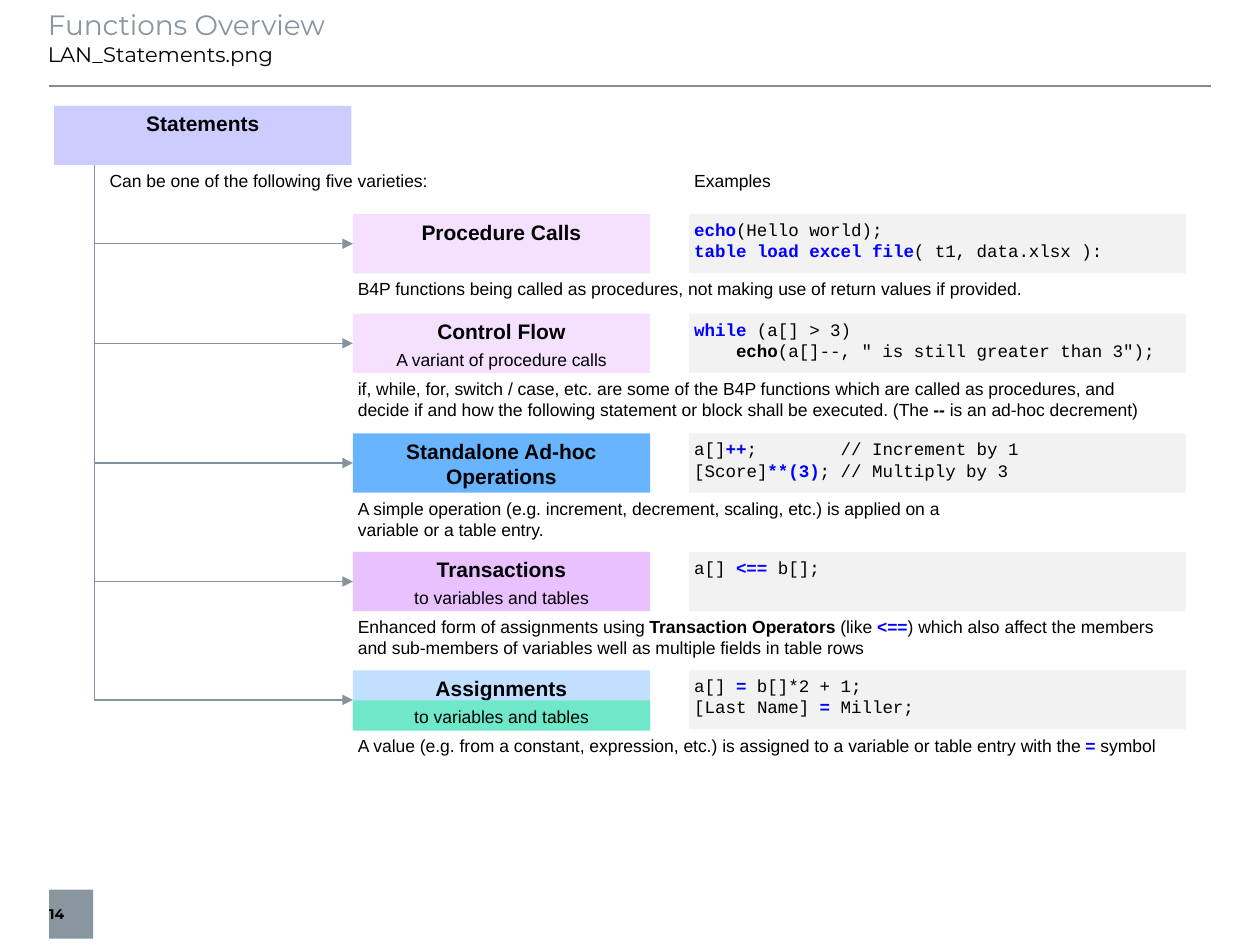
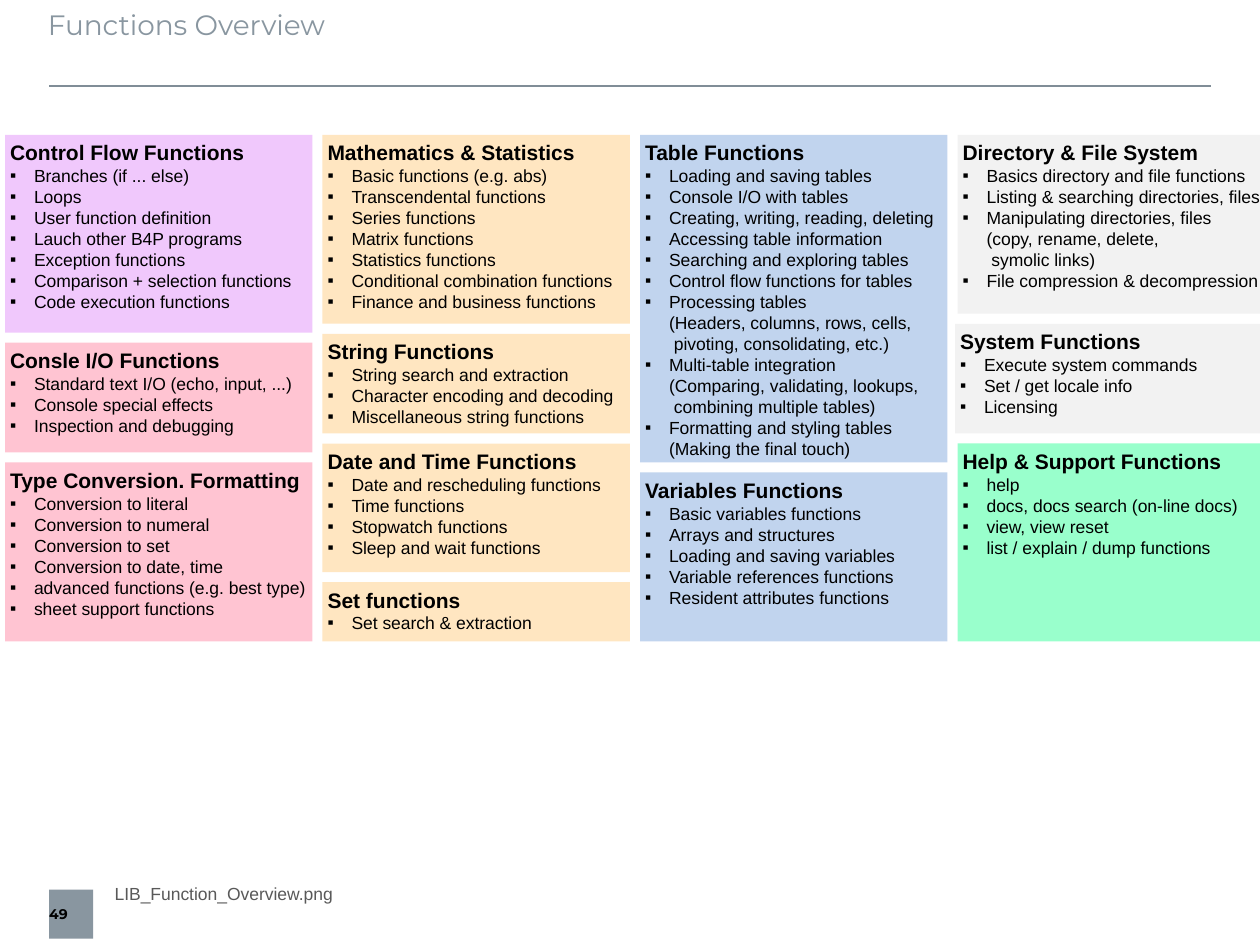
from copy import deepcopy

from lxml import etree
from pptx import Presentation
from pptx.dml.color import RGBColor
from pptx.enum.shapes import MSO_CONNECTOR, MSO_SHAPE
from pptx.enum.text import MSO_ANCHOR, MSO_AUTO_SIZE, PP_ALIGN
from pptx.oxml.ns import qn
from pptx.util import Inches, Pt

STRAIGHT = MSO_CONNECTOR.STRAIGHT
RECTANGLE = MSO_SHAPE.RECTANGLE
TOP, MIDDLE = MSO_ANCHOR.TOP, MSO_ANCHOR.MIDDLE
LEFT, CENTER = PP_ALIGN.LEFT, PP_ALIGN.CENTER
NO_AUTOFIT = MSO_AUTO_SIZE.NONE
LEFT_SIDE = 1

COLORS = {
    "text": "000000", "title": "8996A0", "caption": "595959", "keyword": "0000FF",
    "rule": "808D97", "arrow": "85939D", "root": "CCCCFF", "code": "F2F2F2",
    "procedure": "F5E1FF", "ad_hoc": "69B4FF", "transaction": "EAC1FF",
    "variable": "C1E0FF", "table": "6EE8C8",
    "control": "F0C8FC", "console": "FFC4D2", "data": "FFE6C1",
    "tables": "C1D4EE", "system": "F2F2F2", "help": "99FFCC",
}
SANS, MONO, DISPLAY = "Arial", "Courier New", "Montserrat"
HEADING, BODY = 12, 10
INSET = (0.04, 0.04, 0.04, 0.04)

# Statement rows: top, name, fill, subtitle, subtitle fill, code lines, description lines.
# A line is a list of spans; a span is a string or (string, style).
KEYWORD, BOLD = "keyword", "bold"
STATEMENTS = [
    (1.70, "Procedure Calls", "procedure", None, None,
     [[("echo", KEYWORD), "(Hello world);"],
      [("table load excel file", KEYWORD), "( t1, data.xlsx ):"]],
     [["B4P functions being called as procedures, not making use of return values if provided."]]),
    (2.49, "Control Flow", "procedure", "A variant of procedure calls", None,
     [[("while", KEYWORD), " (a[] > 3)"],
      ["    ", ("echo", BOLD), '(a[]--, " is still greater than 3");']],
     [["if, while, for, switch / case, etc. are some of the B4P functions "
       "which are called as procedures, and"],
      ["decide if and how the following statement or block shall be executed. (The ",
       ("--", BOLD), " is an ad-hoc decrement)"]]),
    (3.44, "Standalone Ad-hoc\nOperations", "ad_hoc", None, None,
     [["a[]", ("++", KEYWORD), ";        // Increment by 1"],
      ["[Score]", ("**(3)", KEYWORD), "; // Multiply by 3"]],
     [["A simple operation (e.g. increment, decrement, scaling, etc.) is applied on a\n"
       "variable or a table entry."]]),
    (4.38, "Transactions", "transaction", "to variables and tables", None,
     [["a[] ", ("<==", KEYWORD), " b[];"]],
     [["Enhanced form of assignments using ", ("Transaction Operators", BOLD), " (like ",
       ("<==", KEYWORD), ") which also affect the members"],
      ["and sub-members of variables well as multiple fields in table rows"]]),
    (5.32, "Assignments", "variable", "to variables and tables", "table",
     [["a[] ", ("=", KEYWORD), " b[]*2 + 1;"],
      ["[Last Name] ", ("=", KEYWORD), " Miller;"]],
     [["A value (e.g. from a constant, expression, etc.) is assigned to a variable "
       "or table entry with the ", ("=", KEYWORD), " symbol"]]),
]

# Columns of cards: name, fill, height, entries.
LIBRARY = [
    [("Control Flow Functions", "control", 1.57,
      ["Branches (if ... else)", "Loops", "User function definition",
       "Lauch other B4P programs", "Exception functions",
       "Comparison + selection functions", "Code execution functions"]),
     ("Consle I/O Functions", "console", 0.87,
      ["Standard text I/O (echo, input, ...)", "Console special effects",
       "Inspection and debugging"]),
     ("Type Conversion. Formatting", "console", 1.42,
      ["Conversion to literal", "Conversion to numeral", "Conversion to set",
       "Conversion to date, time", "advanced functions (e.g. best type)",
       "sheet support functions"])],
    [("Mathematics & Statistics", "data", 1.5,
      ["Basic functions (e.g. abs)", "Transcendental functions", "Series functions",
       "Matrix functions", "Statistics functions", "Conditional combination functions",
       "Finance and business functions"]),
     ("String Functions", "data", 0.79,
      ["String search and extraction", "Character encoding and decoding",
       "Miscellaneous string functions"]),
     ("Date and Time Functions", "data", 1.02,
      ["Date and rescheduling functions", "Time functions", "Stopwatch functions",
       "Sleep and wait functions"]),
     ("Set functions", "data", 0.47, ["Set search & extraction"])],
    [("Table Functions", "tables", 2.6,
      ["Loading and saving tables", "Console I/O with tables",
       "Creating, writing, reading, deleting", "Accessing table information",
       "Searching and exploring tables", "Control flow functions for tables",
       "Processing tables\n(Headers, columns, rows, cells,\n pivoting, consolidating, etc.)",
       "Multi-table integration\n(Comparing, validating, lookups,\n combining multiple tables)",
       "Formatting and styling tables\n(Making the final touch)"]),
     ("Variables Functions", "tables", 1.34,
      ["Basic variables functions", "Arrays and structures", "Loading and saving variables",
       "Variable references functions", "Resident attributes functions"])],
    [("Directory & File System", "system", 1.42,
      ["Basics directory and file functions", "Listing & searching directories, files",
       "Manipulating directories, files\n(copy, rename, delete,\n symolic links)",
       "File compression & decompression"]),
     ("System Functions", "system", 0.87,
      ["Execute system commands", "Set / get locale info", "Licensing"]),
     ("Help & Support Functions", "help", 1.57,
      ["help", "docs, docs search (on-line docs)", "view, view reset",
       "list / explain / dump functions"])],
]
CARD_SHIFT = {"System Functions": -0.02}


def color(name):
    return RGBColor.from_string(COLORS[name])


def add_span(para, text, size=BODY, font=SANS, fill="text", bold=False):
    """Add text as runs, with a line break of the same size at each newline."""
    for index, piece in enumerate(text.split("\n")):
        if index:
            para.add_line_break()
            para._p[-1].append(deepcopy(span._r.rPr))
        span = para.add_run()
        span.text = piece
        span.font.size, span.font.name, span.font.bold = Pt(size), font, bold
        span.font.color.rgb = color(fill)


def set_frame(box, anchor=TOP, inset=INSET, wrap=False):
    frame = box.text_frame
    frame.auto_size = NO_AUTOFIT
    frame.word_wrap, frame.vertical_anchor = wrap, anchor
    (frame.margin_left, frame.margin_top,
     frame.margin_right, frame.margin_bottom) = map(Inches, inset)
    return frame


def next_para(frame, index, align=LEFT):
    para = frame.add_paragraph() if index else frame.paragraphs[0]
    para.alignment = align
    return para


def add_box(page, left, top, width, height, fill=None):
    """Add a filled rectangle, or a text box when there is no fill."""
    place = [Inches(value) for value in (left, top, width, height)]
    if fill is None:
        box = page.shapes.add_textbox(*place)
    else:
        box = page.shapes.add_shape(RECTANGLE, *place)
        box.shadow.inherit = False
        box.fill.solid()
        box.fill.fore_color.rgb = color(fill)
        box.line.fill.background()
    set_frame(box)
    return box


def add_label(page, place, text, fill=None, align=LEFT, **style):
    box = add_box(page, *place, fill)
    add_span(next_para(box.text_frame, 0, align), text, **style)
    return box


def add_lines(page, place, lines, fill=None, font=SANS):
    frame = add_box(page, *place, fill).text_frame
    for index, line in enumerate(lines):
        para = next_para(frame, index)
        for part in line:
            text, style = (part, None) if isinstance(part, str) else part
            add_span(para, text, font=font, bold=style is not None,
                     fill="keyword" if style == KEYWORD else "text")


def add_line(page, start, end, fill, width, arrow=False):
    line = page.shapes.add_connector(STRAIGHT, *map(Inches, start + end))
    line.line.color.rgb = color(fill)
    line.line.width = Pt(width)
    if arrow:
        etree.SubElement(line.line._get_or_add_ln(), qn("a:tailEnd"), type="triangle")
    etree.SubElement(line._element.spPr, qn("a:effectLst"))
    return line


def move(box, left, top, width, height):
    box.left, box.top, box.width, box.height = map(Inches, (left, top, width, height))


def add_page(deck, layout, number, subtitle=None):
    """Add a slide with the shared title, rule and page number."""
    page = deck.slides.add_slide(deck.slide_layouts[layout])
    add_line(page, (0.39, 0.68), (9.61, 0.68), "rule", 1)
    footer = add_label(page, (0.39, 7.06, 0.35, 0.39), number,
                       size=8, font=DISPLAY, fill="title", bold=True)
    set_frame(footer, MIDDLE, (0, 0.05, 0.08, 0.05))
    title = page.shapes.title
    move(title, 0.38, 0.01, 9.21, 0.63)
    para = next_para(set_frame(title, TOP, (0, 0.05, 0.1, 0.05), True), 0)
    add_span(para, "Functions Overview", 16, DISPLAY, "title")
    if subtitle:
        para.add_line_break()
        add_span(para, subtitle, 12, DISPLAY)
    return page


def add_statement(page, trunk, left, row):
    top, name, fill, subtitle, subtitle_fill, code, description = row
    width, height, half = 2.36, 0.47, 0.24
    kind = add_label(page, (left, top, width, height), name, fill, CENTER,
                     size=HEADING, bold=True)
    if subtitle:
        add_label(page, (left, top + half, width, half), subtitle, subtitle_fill, CENTER)
    add_lines(page, (left + 2.67, top, 3.94, height), code, "code", MONO)
    add_lines(page, (left, top + height, 6.61, half if len(description) == 1 else 0.39),
              description)
    middle = top + half
    arrow = add_line(page, (trunk, middle), (left, middle), "arrow", 0.75, arrow=True)
    arrow.begin_y = kind.top + kind.height // 2
    arrow.end_connect(kind, LEFT_SIDE)


def build_statements(deck):
    page = add_page(deck, 5, "14", "LAN_Statements.png")
    trunk, left = 0.75, 2.8
    add_label(page, (0.43, 0.84, 2.36, 0.47), "Statements", "root", CENTER,
              size=HEADING, bold=True)
    add_label(page, (0.83, 1.31, 2.44, 0.24), "Can be one of the following five varieties:")
    add_label(page, (left + 2.67, 1.31, 2.44, 0.24), "Examples")
    for row in STATEMENTS:
        add_statement(page, trunk, left, row)
    add_line(page, (trunk, 1.31), (trunk, STATEMENTS[-1][0] + 0.24), "arrow", 0.75)


def set_bullet(para, mark=None):
    """Give a hanging bullet, or clear the inherited one when there is no mark."""
    props = para._p.get_or_add_pPr()
    indent = Inches(0.19) if mark else 0
    props.set("marL", str(indent))
    props.set("indent", str(-indent))
    if mark:
        etree.SubElement(props, qn("a:buFont"), typeface=SANS)
        etree.SubElement(props, qn("a:buChar"), char=mark)
    else:
        etree.SubElement(props, qn("a:buNone"))


def add_card(page, left, top, width, card):
    name, fill, height, entries = card
    box = add_label(page, (left, top, width, height), name, fill, size=HEADING, bold=True)
    for index, entry in enumerate(entries, 1):
        para = next_para(box.text_frame, index)
        set_bullet(para, "▪")
        add_span(para, entry)


def build_library(deck):
    page = add_page(deck, 1, "49")
    caption = page.placeholders[1]
    move(caption, 0.83, 6.9, 6.69, 0.39)
    para = next_para(set_frame(caption, MIDDLE, (0.08, 0.05, 0.08, 0.05), True), 0)
    para.space_before = Pt(0)
    set_bullet(para)
    add_span(para, "LIB_Function_Overview.png", fill="caption")
    width, gap = 2.44, 0.08
    for index, column in enumerate(LIBRARY):
        left, top = 0.04 + index * (width + gap), 1.07
        for card in column:
            name, _, height, _ = card
            add_card(page, left + CARD_SHIFT.get(name, 0), top, width, card)
            top += height + gap


def main():
    deck = Presentation()
    deck.slide_width, deck.slide_height = Inches(10), Inches(7.5)
    build_statements(deck)
    build_library(deck)
    deck.save("out.pptx")


if __name__ == "__main__":
    main()
